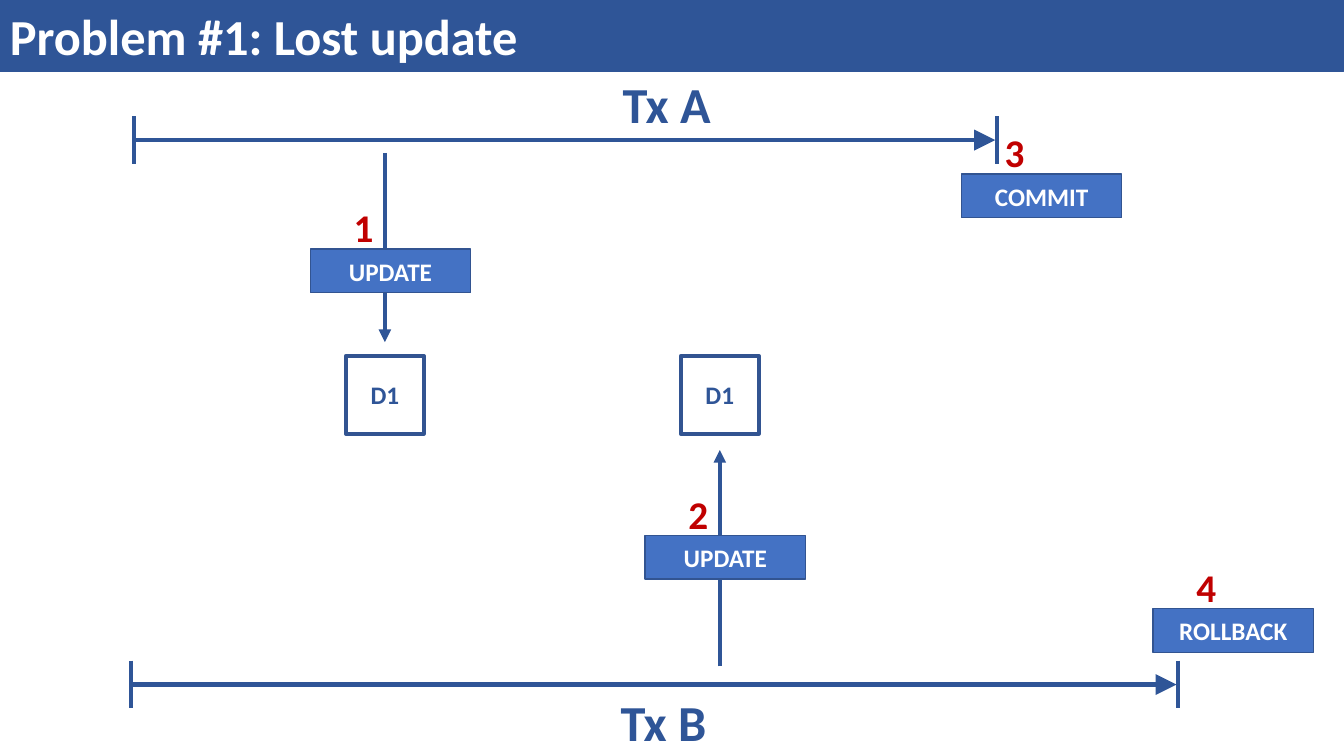
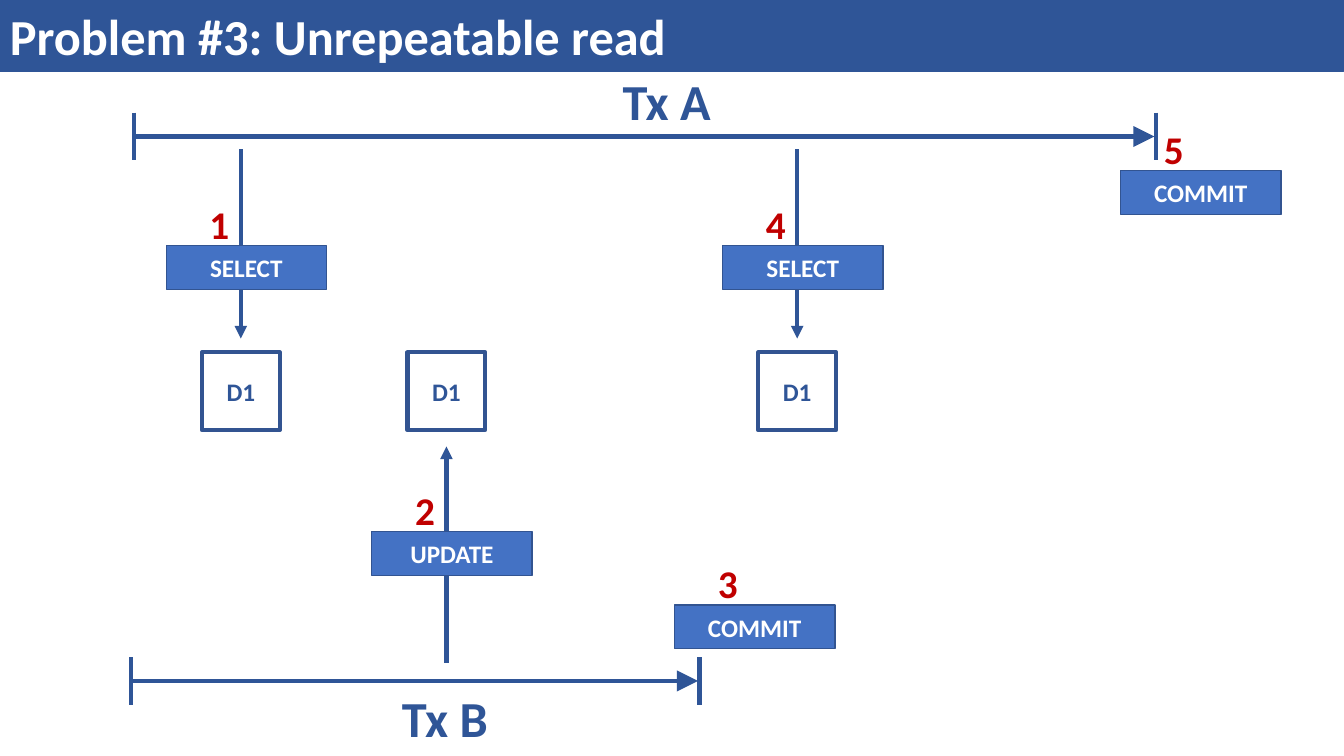
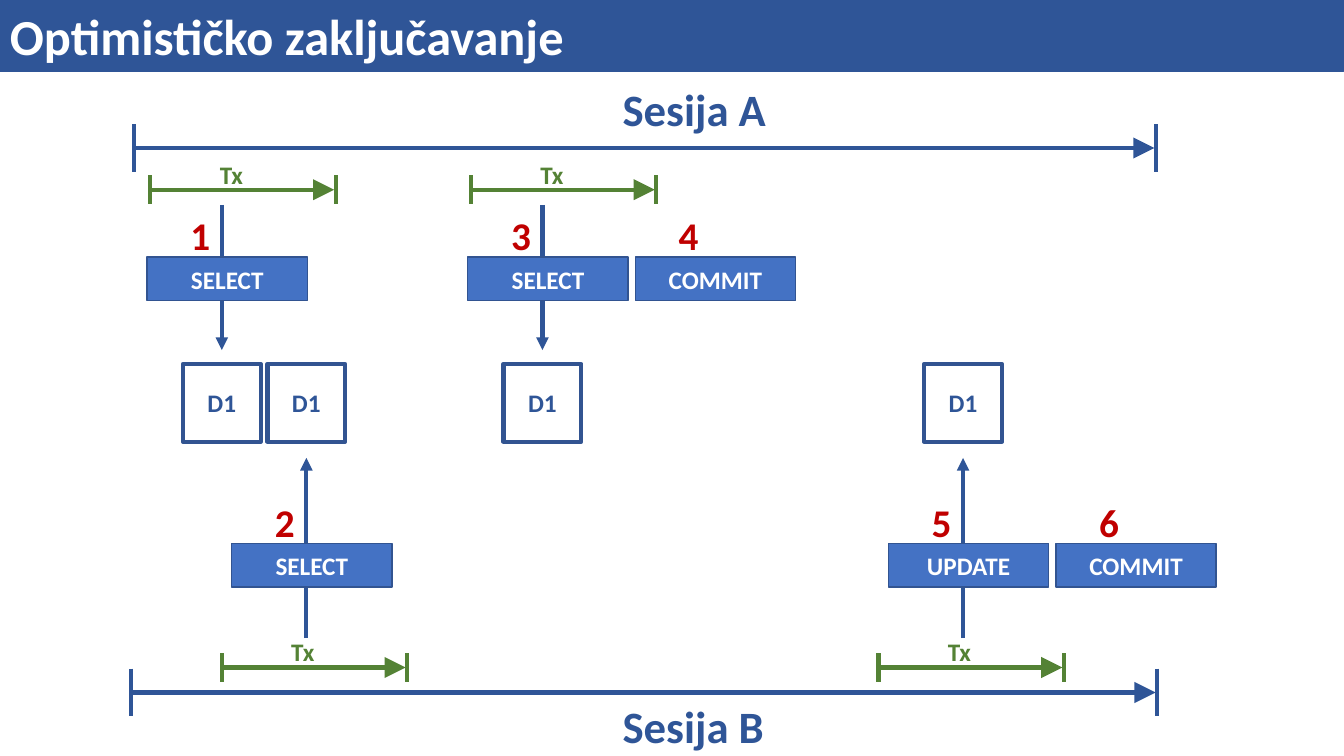
from lxml import etree
from pptx import Presentation
from pptx.dml.color import RGBColor
from pptx.enum.shapes import MSO_CONNECTOR, MSO_SHAPE
from pptx.enum.text import MSO_ANCHOR, MSO_AUTO_SIZE, PP_ALIGN
from pptx.oxml.ns import qn
from pptx.util import Cm, Pt

RECTANGLE = MSO_SHAPE.RECTANGLE
STRAIGHT = MSO_CONNECTOR.STRAIGHT
MIDDLE = MSO_ANCHOR.MIDDLE
GROW = MSO_AUTO_SIZE.SHAPE_TO_FIT_TEXT
LEFT, CENTER = PP_ALIGN.LEFT, PP_ALIGN.CENTER

FONT = "Calibri"
NAVY = RGBColor(0x2F, 0x55, 0x97)
BORDER = RGBColor(0x32, 0x54, 0x91)
BLUE = RGBColor(0x44, 0x72, 0xC4)
GREEN = RGBColor(0x54, 0x82, 0x35)
RED = RGBColor(0xC0, 0x00, 0x00)
WHITE = RGBColor(0xFF, 0xFF, 0xFF)

SLIDE_WIDTH, SLIDE_HEIGHT, BAND_HEIGHT = 33.87, 19.05, 1.8
DATA_SIZE = 1.96
BOX_WIDTH, BOX_HEIGHT, BOX_PITCH = 4.04, 1.1, 4.22
TRANSACTION_LENGTH = 4.67

# Vertical offsets are measured from the top of the data row.
LANES = {
    "A": {"timeline": -5.44, "start": 3.38, "label": -1.8,
          "arrow_from": -5.12, "arrow_from_inner": -4.01, "arrow_to": -0.35,
          "box": -2.69, "end_box": (-0.89, 0.86),
          "transaction": -4.39, "transaction_left": -1.8},
    "B": {"timeline": 8.28, "start": 3.3, "label": 0.03,
          "arrow_from": 7.82, "arrow_from_inner": 6.91, "arrow_to": 2.37,
          "box": 4.52, "end_box": (-0.63, -1.91),
          "transaction": 7.65, "transaction_left": -2.13},
}

SLIDES = [
    {"title": "Problem #1: Lost update", "data_top": 8.97,
     "label": ("Tx", 36, 2.95), "nested": False,
     "timelines": [("A", 25.12, 15.44), ("B", 29.69, 15.39)],
     "operations": [("A", 9.7, ["1 UPDATE"]), ("B", 18.14, ["2 UPDATE"])],
     "endings": [("A", "3 COMMIT"), ("B", "4 ROLLBACK")]},
    {"title": "Problem #3: Unrepeatable read", "data_top": 8.88,
     "label": ("Tx", 36, 2.95), "nested": False,
     "timelines": [("A", 29.13, 15.44), ("B", 17.63, 9.88)],
     "operations": [("A", 6.07, ["1 SELECT"]), ("B", 11.25, ["2 UPDATE"]),
                    ("A", 20.09, ["4 SELECT"])],
     "endings": [("B", "3 COMMIT"), ("A", "5 COMMIT")]},
    {"title": "Optimističko zaključavanje", "data_top": 9.17,
     "label": ("Sesija", 32, 4.3), "nested": True,
     "timelines": [("A", 29.13, 15.44), ("B", 29.16, 15.44)],
     "operations": [("A", 5.59, ["1 SELECT"]), ("B", 7.72, ["2 SELECT"]),
                    ("A", 13.67, ["3 SELECT", "4 COMMIT"]),
                    ("B", 24.27, ["5 UPDATE", "6 COMMIT"])],
     "endings": []},
]


def write(shape, text, size, color, alignment):
    paragraph = shape.text_frame.paragraphs[0]
    paragraph.alignment = alignment
    run = paragraph.add_run()
    run.text = text
    run.font.name = FONT
    run.font.size = Pt(size)
    run.font.bold = True
    run.font.color.rgb = color


def add_rectangle(slide, left, top, width, height, fill, border, weight):
    shape = slide.shapes.add_shape(RECTANGLE, Cm(left), Cm(top), Cm(width), Cm(height))
    shape.shadow.inherit = False
    if fill is None:
        shape.fill.background()
    else:
        shape.fill.solid()
        shape.fill.fore_color.rgb = fill
    shape.line.color.rgb = border
    shape.line.width = Pt(weight)
    shape.text_frame.vertical_anchor = MIDDLE
    return shape


def add_label(slide, text, left, top, width, size, color):
    height = size * 0.042 + 0.25
    label = slide.shapes.add_textbox(Cm(left), Cm(top), Cm(width), Cm(height))
    label.text_frame.word_wrap = False
    label.text_frame.auto_size = GROW
    write(label, text, size, color, LEFT)


def add_line(slide, start, end, color, head=None):
    line = slide.shapes.add_connector(STRAIGHT, *map(Cm, start + end))
    line.line.color.rgb = color
    line.line.width = Pt(3)
    if head:
        etree.SubElement(line.line._get_or_add_ln(), qn("a:tailEnd"),
                         type="triangle", w=head, len=head)
    etree.SubElement(line._element.spPr, qn("a:effectLst"))


def add_span(slide, left, right, y, tick, color):
    add_line(slide, (left, y), (right - 0.04, y), color, "lg")
    for x in (left, right):
        add_line(slide, (x, y - tick), (x, y + tick), color)


def add_step(slide, step, left, top):
    number, command = step.split()
    box = add_rectangle(slide, left, top, BOX_WIDTH, BOX_HEIGHT, BLUE, BORDER, 1)
    write(box, command, 18, WHITE, CENTER)
    add_label(slide, number, left + 0.84, top - 1.27, 1.04, 28, RED)


def add_operation(slide, lane, x, steps, data_top, nested):
    data = add_rectangle(slide, x - DATA_SIZE / 2, data_top, DATA_SIZE, DATA_SIZE,
                         None, BORDER, 3)
    write(data, "D1", 18, NAVY, CENTER)
    arrow_from = lane["arrow_from_inner" if nested else "arrow_from"]
    add_line(slide, (x, data_top + arrow_from), (x, data_top + lane["arrow_to"]),
             NAVY, "med")
    for index, step in enumerate(steps):
        add_step(slide, step, x - 1.88 + index * BOX_PITCH, data_top + lane["box"])
    if nested:
        left = x + lane["transaction_left"]
        y = data_top + lane["transaction"]
        add_span(slide, left, left + TRANSACTION_LENGTH, y, 0.36, GREEN)
        add_label(slide, "Tx", left + 1.5, y - 0.9, 1.17, 18, GREEN)


def build_slide(presentation, content):
    slide = presentation.slides.add_slide(presentation.slide_layouts[6])
    band = add_rectangle(slide, 0, 0, SLIDE_WIDTH, BAND_HEIGHT, NAVY, NAVY, 0.75)
    write(band, content["title"], 36, WHITE, LEFT)
    data_top = content["data_top"]
    label, label_size, label_width = content["label"]
    ends = {}
    for name, end, label_left in content["timelines"]:
        lane = LANES[name]
        y = data_top + lane["timeline"]
        ends[name] = (end, y)
        add_span(slide, lane["start"], end, y, 0.6, NAVY)
        add_label(slide, f"{label} {name}", label_left, y + lane["label"],
                  label_width, label_size, NAVY)
    for name, x, steps in content["operations"]:
        add_operation(slide, LANES[name], x, steps, data_top, content["nested"])
    for name, step in content["endings"]:
        end, y = ends[name]
        shift_x, shift_y = LANES[name]["end_box"]
        add_step(slide, step, end + shift_x, y + shift_y)


def main():
    presentation = Presentation()
    presentation.slide_width = Cm(SLIDE_WIDTH)
    presentation.slide_height = Cm(SLIDE_HEIGHT)
    for content in SLIDES:
        build_slide(presentation, content)
    presentation.save("out.pptx")


if __name__ == "__main__":
    main()
